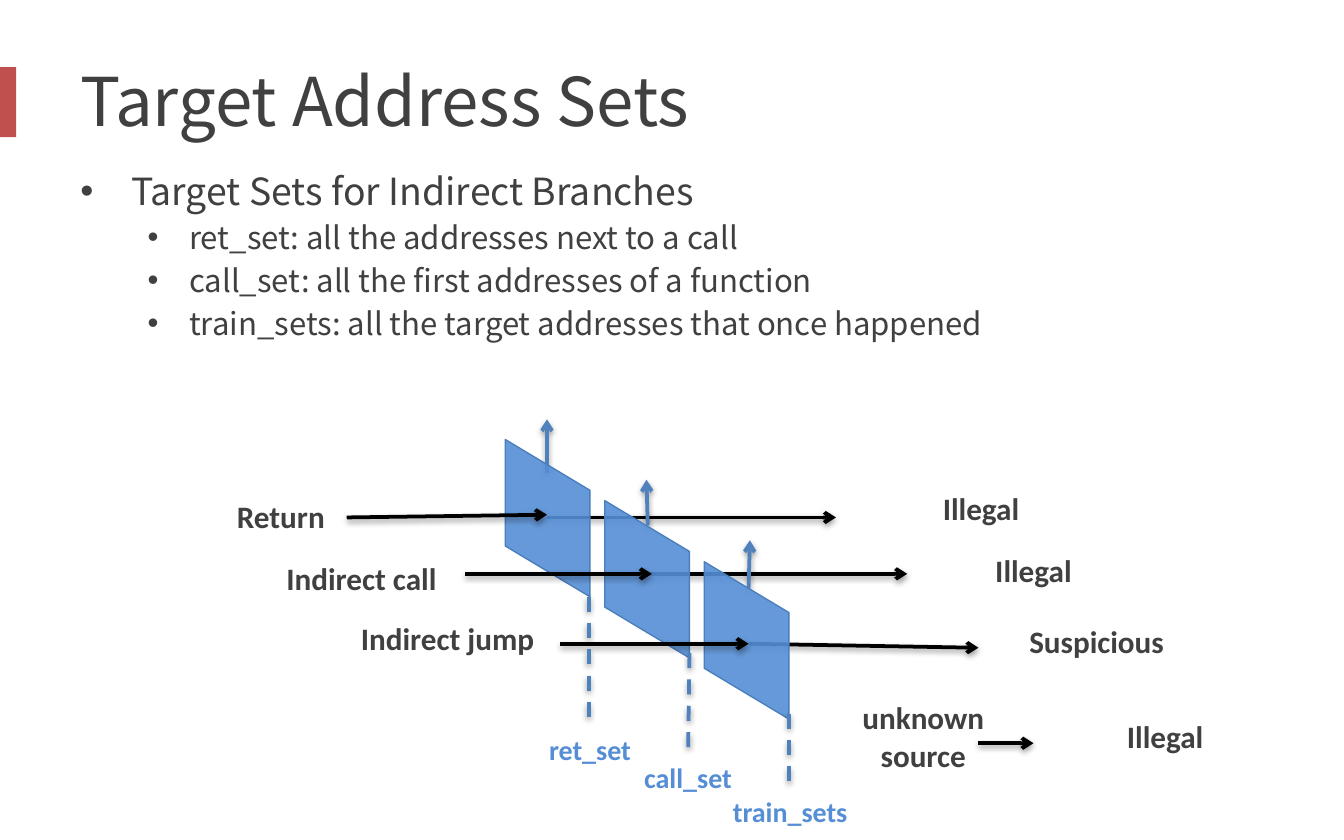
from lxml import etree
from pptx import Presentation
from pptx.dml.color import RGBColor
from pptx.enum import dml, shapes, text
from pptx.oxml import parse_xml
from pptx.oxml.ns import nsdecls, qn
from pptx.util import Inches, Pt

RED = RGBColor(0xC0, 0x50, 0x4D)
GRAY = RGBColor(0x40, 0x40, 0x40)
BLUE = RGBColor(0x55, 0x8E, 0xD5)
EDGE = RGBColor(0x4B, 0x7E, 0xBC)
STEEL = RGBColor(0x4F, 0x81, 0xBD)
BLACK = RGBColor(0, 0, 0)
SANS, BOLD = "Noto Sans CJK SC", "Calibri"

TITLE = "Target Address Sets"
BODY = [
    ("Target Sets for Indirect Branches", 0),
    ("ret_set: all the addresses next to a call", 1),
    ("call_set: all the first addresses of a function", 1),
    ("train_sets: all the target addresses that once happened", 1),
]
LEVELS = [(20, 0.38, 0.38), (16.7, 0.81, 0.31)]
GATES = [
    {"up": (4.07, 3.52, 4.07, 3.12), "out": (4.07, 3.85, 6.22, 3.85),
     "in": (2.58, 3.85, 4.07, 3.83), "drop": (4.38, 4.44, 4.38, 5.4)},
    {"up": (4.82, 3.91, 4.81, 3.57), "out": (4.82, 4.27, 6.75, 4.27),
     "in": (3.46, 4.27, 4.85, 4.27), "drop": (5.13, 4.86, 5.12, 5.61)},
    {"up": (5.57, 4.38, 5.58, 4.02), "out": (5.57, 4.79, 7.28, 4.82),
     "in": (4.17, 4.79, 5.57, 4.79), "drop": (5.87, 5.31, 5.87, 5.86)},
]
SOURCE = (7.28, 5.53, 7.69, 5.53)
SETS = [("ret_set", 4.39, 5.4), ("call_set", 5.12, 5.61), ("train_sets", 5.88, 5.86)]
LABELS = [
    ("Return", 2.09, 3.65), ("Indirect call", 2.69, 4.11),
    ("Indirect jump", 3.33, 4.56), ("unknown\vsource", 6.87, 5.15),
    ("Illegal", 7.3, 3.59), ("Illegal", 7.69, 4.05),
    ("Suspicious", 8.16, 4.58), ("Illegal", 8.67, 5.29),
]

deck = Presentation()
deck.slide_width, deck.slide_height = Inches(10), Inches(6.25)
slide = deck.slides.add_slide(deck.slide_layouts[6])


def paint(font, size, color, name, bold=False):
    font.size, font.name, font.bold = Pt(size), name, bold
    font.color.rgb = color


def add_box(x, y, w, h, wrap=True):
    frame = slide.shapes.add_textbox(*map(Inches, (x, y, w, h))).text_frame
    frame.word_wrap = wrap
    return frame


def add_label(words, mid, top, size, color):
    frame = add_box(mid - 0.75, top, 1.5, 0.38, False)
    frame.text = words
    para = frame.paragraphs[0]
    para.alignment = text.PP_ALIGN.CENTER
    for run in para.runs:
        paint(run.font, size, color, BOLD, True)


def add_line(ends, color, dash=False):
    line = slide.shapes.add_connector(
        shapes.MSO_CONNECTOR.STRAIGHT, *map(Inches, ends))
    line.line.color.rgb, line.line.width = color, Pt(2)
    if dash:
        line.line.dash_style = dml.MSO_LINE.DASH
    else:
        etree.SubElement(line.line._get_or_add_ln(), qn("a:tailEnd"), type="arrow")
    line._element.spPr.append(parse_xml(
        f'<a:effectLst {nsdecls("a")}><a:outerShdw blurRad="40000" dist="20000" '
        'dir="5400000" rotWithShape="0"><a:srgbClr val="000000">'
        '<a:alpha val="38000"/></a:srgbClr></a:outerShdw></a:effectLst>'))


def add_shape(kind, x, y, w, h, color):
    shape = slide.shapes.add_shape(kind, *map(Inches, (x, y, w, h)))
    shape.shadow.inherit = False
    shape.fill.solid()
    shape.fill.fore_color.rgb = color
    return shape


def add_gate(i):
    gate = add_shape(shapes.MSO_SHAPE.PARALLELOGRAM,
                     3.49 + 0.74 * i, 3.54 + 0.455 * i, 1.17, 0.63, BLUE)
    gate.rotation = 270
    gate.adjustments[0] = 0.6
    gate.line.color.rgb, gate.line.width = EDGE, Pt(0.75)
    tone = gate._element.spPr.find(qn("a:solidFill"))[0]
    etree.SubElement(tone, qn("a:alpha"), val="90000")


bar = add_shape(shapes.MSO_SHAPE.RECTANGLE, -0.06, 0.5, 0.18, 0.52, RED)
bar.line.fill.background()

head = add_box(0.5, 0.25, 9, 0.98)
head.vertical_anchor = text.MSO_ANCHOR.MIDDLE
head.text = TITLE
paint(head.paragraphs[0].runs[0].font, 36, GRAY, SANS)

body = add_box(0.5, 1.2, 8.25, 2.1)
for i, (words, level) in enumerate(BODY):
    para = body.paragraphs[0] if i == 0 else body.add_paragraph()
    size, left, hang = LEVELS[level]
    para.text = words
    para.level = level
    para.line_spacing = 1.0
    para.space_before = Pt(3 if i else 0)
    props = para._p.get_or_add_pPr()
    props.set("marL", str(Inches(left)))
    props.set("indent", str(-Inches(hang)))
    etree.SubElement(props, qn("a:buFont"), typeface="Arial")
    etree.SubElement(props, qn("a:buChar"), char="•")
    paint(para.runs[0].font, size, GRAY, SANS)

for i, gate in enumerate(GATES):
    add_line(gate["up"], STEEL)
    add_line(gate["out"], BLACK)
    add_gate(i)
    add_line(gate["in"], BLACK)
for gate in GATES:
    add_line(gate["drop"], STEEL, True)
add_line(SOURCE, BLACK)

for item in SETS:
    add_label(*item, 15, BLUE)
for item in LABELS:
    add_label(*item, 16.7, GRAY)

deck.save("out.pptx")
